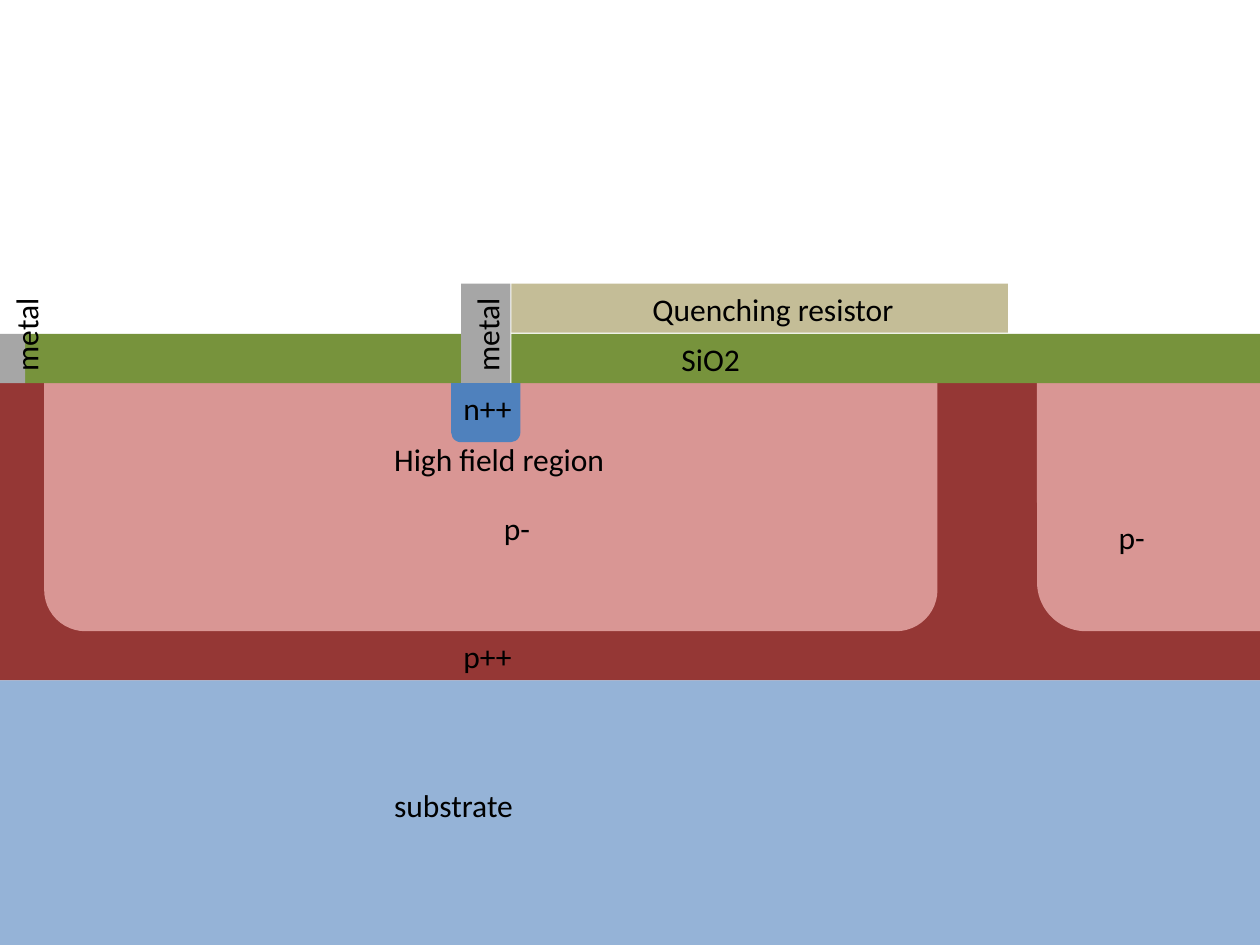
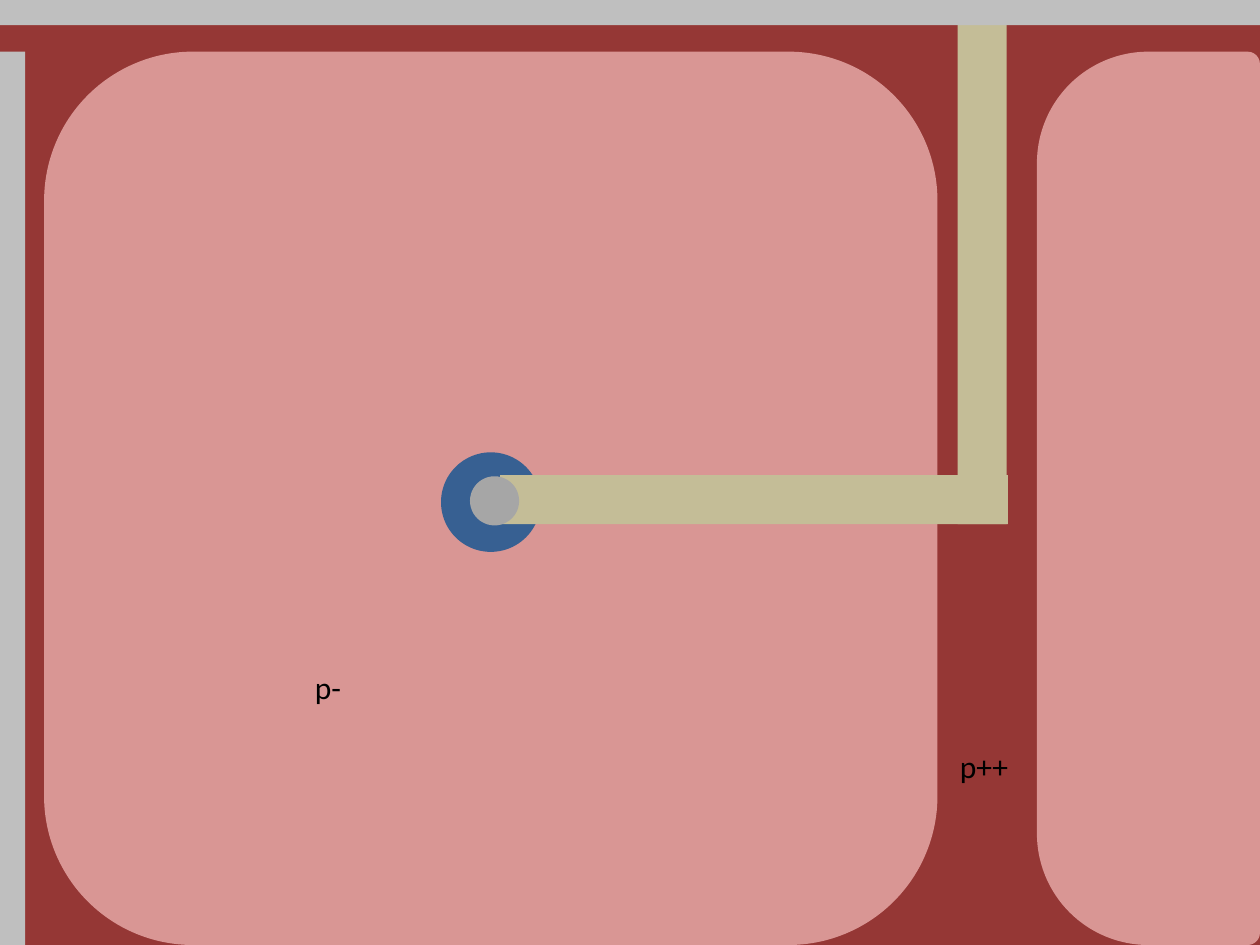
from pptx import Presentation
from pptx.dml.color import RGBColor
from pptx.enum import shapes, text
from pptx.util import Inches, Pt

FONT = "Calibri"
BLACK = "000000"
P_PLUS, P_MINUS = "953735", "D99694"
N_PLUS, N_PLUS_TOP = "4F81BD", "376092"
OXIDE, RESISTOR, SUBSTRATE = "77933C", "C4BD97", "95B3D7"
METAL, METAL_GRID = "A6A6A6", "BFBFBF"

RECTANGLE = shapes.MSO_SHAPE.RECTANGLE
ROUNDED = shapes.MSO_SHAPE.ROUNDED_RECTANGLE
ONE_ROUND = shapes.MSO_SHAPE.ROUND_1_RECTANGLE
TWO_ROUND = shapes.MSO_SHAPE.ROUND_2_SAME_RECTANGLE
OVAL = shapes.MSO_SHAPE.OVAL

# Measures shared by the cross-section and the top view
WIDTH, HEIGHT = 10, 7.5
STRIP = 0.39          # thickness of oxide, resistor and contact
GRID = 0.2            # width of the metal grid line
CELL_LEFT, CELL_SIZE = 0.35, 7.09
NEXT_CELL_LEFT = 8.23
NEXT_CELL_WIDTH = WIDTH - NEXT_CELL_LEFT
RESISTOR_RIGHT = 8


def add_region(slide, kind, box, color, rotation=0, adjustments=()):
    """Add a borderless filled shape; box is left, top, width, height in inches."""
    shape = slide.shapes.add_shape(kind, *map(Inches, box))
    shape.shadow.inherit = False
    shape.fill.solid()
    shape.fill.fore_color.rgb = RGBColor.from_string(color)
    shape.line.fill.background()
    shape.rotation = rotation
    for index, value in enumerate(adjustments):
        shape.adjustments[index] = value


def add_label(slide, words, left, top, width, height=0.4, rotation=0,
              size=18, color=BLACK):
    box = slide.shapes.add_textbox(*map(Inches, (left, top, width, height)))
    box.rotation = rotation
    frame = box.text_frame
    frame.word_wrap = False
    frame.auto_size = text.MSO_AUTO_SIZE.SHAPE_TO_FIT_TEXT
    run = frame.paragraphs[0].add_run()
    run.text = words
    run.font.name = FONT
    run.font.size = Pt(size)
    run.font.color.rgb = RGBColor.from_string(color)


presentation = Presentation()
presentation.slide_width = Inches(WIDTH)
presentation.slide_height = Inches(HEIGHT)
blank = presentation.slide_layouts[6]

# Slide 1: cross-section, layers meeting at fixed depths
slide = presentation.slides.add_slide(blank)
resistor_top, oxide_top, silicon_top, substrate_top = 2.25, 2.65, 3.04, 5.4
well_depth = 1.97
contact_left, contact_right = 3.66, 4.06

for kind, box, color, rotation, adjustments in [
    (RECTANGLE, (0, silicon_top, WIDTH, substrate_top - silicon_top), P_PLUS, 0, ()),
    (TWO_ROUND, (CELL_LEFT, silicon_top, CELL_SIZE, well_depth), P_MINUS, 180, ()),
    (ONE_ROUND, (NEXT_CELL_LEFT, silicon_top, NEXT_CELL_WIDTH, well_depth),
     P_MINUS, 180, (0.22,)),
    (RECTANGLE, (0, substrate_top, WIDTH, HEIGHT - substrate_top), SUBSTRATE, 0, ()),
    (RECTANGLE, (GRID, oxide_top, contact_left - GRID, STRIP), OXIDE, 0, ()),
    (RECTANGLE, (contact_right, oxide_top, WIDTH - contact_right, STRIP), OXIDE, 0, ()),
    (RECTANGLE, (contact_left, resistor_top, STRIP, silicon_top - resistor_top),
     METAL, 0, ()),
    (RECTANGLE, (contact_right, resistor_top, RESISTOR_RIGHT - contact_right, STRIP),
     RESISTOR, 0, ()),
    (RECTANGLE, (0, oxide_top, GRID, STRIP), METAL, 0, ()),
    (TWO_ROUND, (3.58, silicon_top, 0.55, 0.47), N_PLUS, 180, ()),
]:
    add_region(slide, kind, box, color, rotation, adjustments)

for words, left, top, width in [
    ("SiO2", 5.31, oxide_top, 0.67),
    ("Quenching resistor", 5.08, resistor_top, 2.14),
    ("n++", 3.58, silicon_top, 0.59),
    ("High field region", 3.03, 3.44, 1.89),
    ("p-", 3.9, 3.99, 0.41),
    ("p-", 8.78, 4.06, 0.41),
    ("p++", 3.58, 5.01, 0.59),
    ("substrate", 3.03, 6.19, 1.15),
]:
    add_label(slide, words, left, top, width)
for left in (-0.19, 3.47):
    add_label(slide, "metal", left, 2.45, 0.79, rotation=270)

# Slide 2: top view of the same cell
slide = presentation.slides.add_slide(blank)
cell_top = HEIGHT - CELL_SIZE
resistor_row = 3.77
# The neighbour is turned a quarter, so its frame is centred on the visible area
next_cell_frame = (
    NEXT_CELL_LEFT + (NEXT_CELL_WIDTH - CELL_SIZE) / 2,
    cell_top + (CELL_SIZE - NEXT_CELL_WIDTH) / 2,
    CELL_SIZE,
    NEXT_CELL_WIDTH,
)

for kind, box, color, rotation, adjustments in [
    (RECTANGLE, (0, 0, WIDTH, HEIGHT), P_PLUS, 0, ()),
    (ROUNDED, (CELL_LEFT, cell_top, CELL_SIZE, CELL_SIZE), P_MINUS, 0, ()),
    (OVAL, (3.5, 3.59, 0.79, 0.79), N_PLUS_TOP, 0, ()),
    (RECTANGLE, (3.97, resistor_row, RESISTOR_RIGHT - 3.97, STRIP), RESISTOR, 0, ()),
    (OVAL, (3.73, 3.78, STRIP, STRIP), METAL, 0, ()),
    (TWO_ROUND, next_cell_frame, P_MINUS, 270, (0.5, 0.055)),
    (RECTANGLE, (7.6, 0, STRIP, resistor_row + STRIP), RESISTOR, 0, ()),
    (RECTANGLE, (0, 0, WIDTH, GRID), METAL_GRID, 0, ()),
    (RECTANGLE, (0, cell_top, GRID, CELL_SIZE), METAL_GRID, 0, ()),
]:
    add_region(slide, kind, box, color, rotation, adjustments)

add_label(slide, "p-", 2.4, 5.25, 0.41)
add_label(slide, "p++", 7.52, 5.88, 0.59)

presentation.save("out.pptx")
